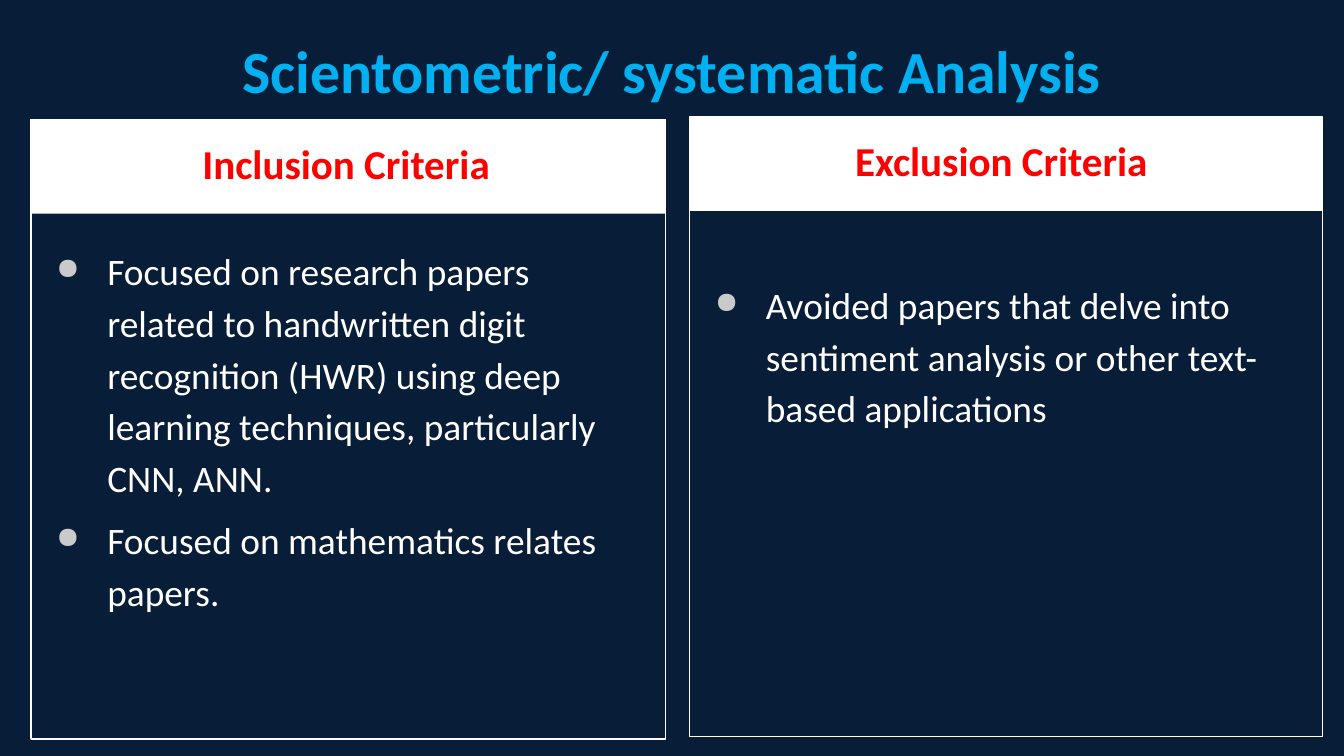
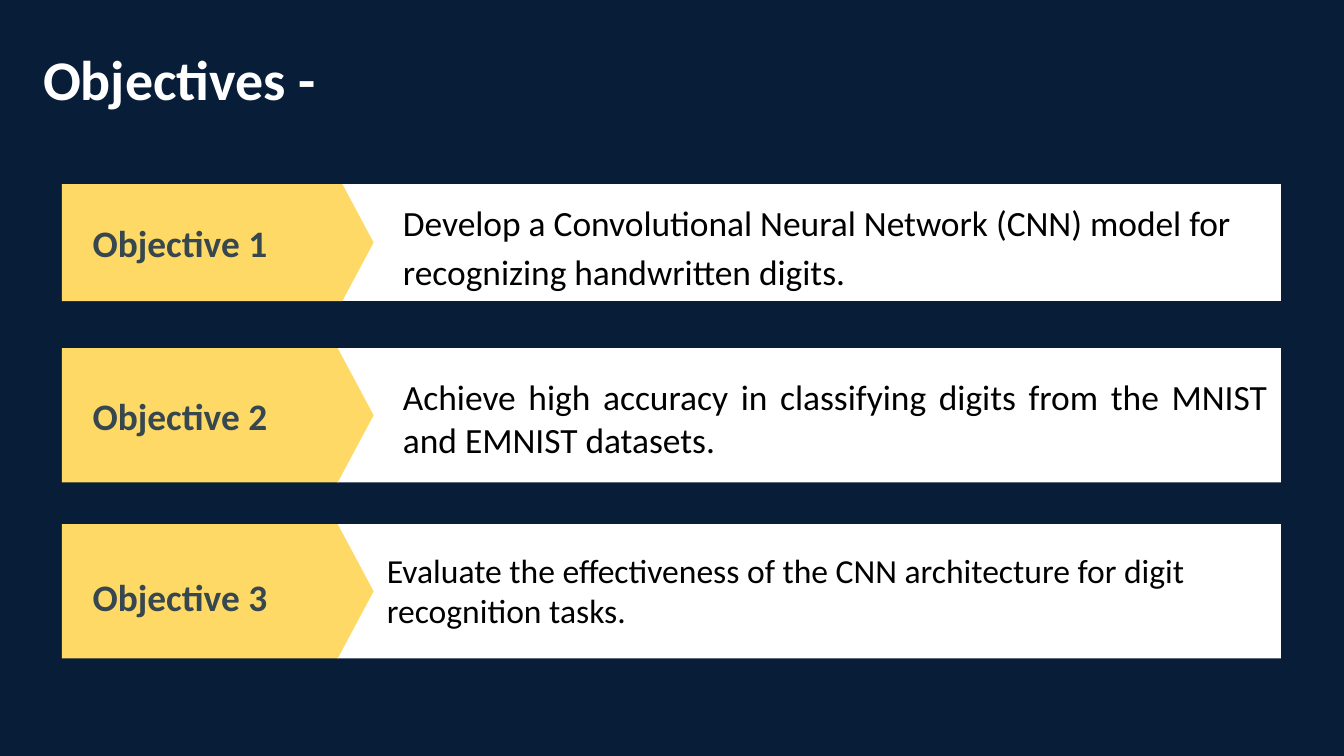
from lxml.etree import SubElement
from pptx import Presentation
from pptx.dml.color import RGBColor
from pptx.enum.shapes import MSO_SHAPE
from pptx.enum.text import MSO_ANCHOR, MSO_AUTO_SIZE, PP_ALIGN
from pptx.oxml.ns import qn
from pptx.util import Inches, Pt

FONT = "Calibri"
NAVY, WHITE, BLACK = "081D37", "FFFFFF", "000000"
SKY, RED, GOLD, SLATE, GREY = "00B0F0", "FF0000", "FFD966", "37474F", "CACACA"


def color(code):
    return RGBColor.from_string(code)


def place(box):
    return [Inches(side) for side in box]


def style(frame, size, code, bold=False, align=PP_ALIGN.LEFT, anchor=MSO_ANCHOR.TOP):
    """Format a whole text frame the way all text in the deck is set."""
    frame.word_wrap = True
    frame.auto_size = MSO_AUTO_SIZE.NONE
    frame.vertical_anchor = anchor
    frame.margin_left = frame.margin_right = Inches(0.1)
    frame.margin_top = frame.margin_bottom = Inches(0.1)
    for para in frame.paragraphs:
        para.alignment = align
        for run in para.runs:
            font = run.font
            font.name, font.size, font.bold = FONT, Pt(size), bold
            font.color.rgb = color(code)


def add_text(slide, box, text, size, code, **look):
    frame = slide.shapes.add_textbox(*place(box)).text_frame
    frame.text = text
    style(frame, size, code, **look)
    return frame


def add_block(slide, box, fill=None, line=None, kind=MSO_SHAPE.RECTANGLE):
    block = slide.shapes.add_shape(kind, *place(box))
    block.shadow.inherit = False
    if fill:
        block.fill.solid()
        block.fill.fore_color.rgb = color(fill)
    else:
        block.fill.background()
    if line:
        block.line.color.rgb = color(line)
        block.line.width = Pt(0.75)
    else:
        block.line.fill.background()
    return block


def indent(para, left, first=0):
    props = para._p.get_or_add_pPr()
    props.set("marL", str(Inches(left)))
    props.set("indent", str(Inches(first)))
    return props


def add_bullet(para):
    para.line_spacing = 1.15
    para.space_after = Pt(6)
    props = indent(para, 0.38, -0.38)
    SubElement(SubElement(props, qn("a:buClr")), qn("a:srgbClr"), val=GREY)
    SubElement(props, qn("a:buSzPct"), val="80000")
    SubElement(props, qn("a:buChar"), char="●")


def add_slide(deck, title, box, size, code, align=PP_ALIGN.LEFT):
    slide = deck.slides.add_slide(deck.slide_layouts[5])
    head = slide.shapes.title
    head.left, head.top, head.width, head.height = place(box)
    head.text_frame.text = title
    style(head.text_frame, size, code, bold=True, align=align)
    return slide


def add_panel(slide, box, title, items, drop, shift=0):
    """Framed list under a white band; drop lowers the list, shift moves the heading right."""
    left, top, width, height = box
    add_block(slide, (left, top, width, 0.7), fill=WHITE)
    add_block(slide, box, line=WHITE)
    add_text(slide, (left + shift, top + 0.04, width, 0.5), title, 22, RED,
             bold=True, align=PP_ALIGN.CENTER)
    body = (left + 0.09, top + drop, 4.54, height - drop - 0.16)
    frame = add_text(slide, body, "\n".join(items), 20, WHITE)
    for para in frame.paragraphs:
        add_bullet(para)


def add_goal(slide, box, label, text, size=19, inset=0.12, shift=0, nudge=0,
             spacing=None, align=PP_ALIGN.LEFT):
    """White bar with a gold tag; shift and nudge lower the label and the text."""
    left, top, width, height = box
    tag = 2.32
    add_block(slide, (left + 2.05, top, width - 2.05, height), fill=WHITE)
    plate = add_block(slide, (left, top, tag, height), fill=GOLD, kind=MSO_SHAPE.PENTAGON)
    plate.adjustments[0] = 0.267
    add_text(slide, (left + 0.13, top + shift, 2.65, height), label, 20, SLATE,
             bold=True, anchor=MSO_ANCHOR.MIDDLE)
    frame = add_text(slide, (left + tag, top + nudge, width - tag, height), text, size,
                     BLACK, align=align, anchor=MSO_ANCHOR.MIDDLE)
    para = frame.paragraphs[0]
    indent(para, inset)
    if spacing:
        para.line_spacing = spacing


def add_criteria(deck):
    slide = add_slide(deck, "Scientometric/ systematic Analysis",
                      (0.34, 0.15, 9.32, 0.63), 32, SKY, PP_ALIGN.CENTER)
    add_panel(slide, (0.23, 0.89, 4.72, 4.61), "Inclusion Criteria ", [
        "Focused on research papers related to handwritten digit recognition (HWR) "
        "using deep learning techniques, particularly CNN, ANN.",
        "Focused on mathematics relates papers.",
    ], 0.81, shift=0.02)
    add_panel(slide, (5.13, 0.87, 4.71, 4.61), "Exclusion Criteria ", [
        "Avoided papers that delve into sentiment analysis or other text-based applications",
    ], 1.08)


def add_goals(deck):
    slide = add_slide(deck, "Objectives -", (0.22, 0.23, 9.32, 0.63), 30, WHITE)
    left, width = 0.46, 9.07
    add_goal(slide, (left, 1.37, width, 0.87), "Objective 1",
             "Develop a Convolutional Neural Network (CNN) model for "
             "recognizing handwritten digits.", nudge=0.01, spacing=1.15)
    add_goal(slide, (left, 2.59, width, 1), "Objective 2",
             "Achieve high accuracy in classifying digits from the MNIST "
             "and EMNIST datasets.", nudge=0.02, align=PP_ALIGN.JUSTIFY)
    add_goal(slide, (left, 3.9, width, 1), "Objective 3",
             "Evaluate the effectiveness of the CNN architecture for digit "
             "recognition tasks.", size=18, inset=0, shift=0.04, nudge=-0.01)


def main():
    deck = Presentation()
    deck.slide_width = Inches(10)
    deck.slide_height = Inches(10 * 9 / 16)
    back = deck.slide_master.background.fill
    back.solid()
    back.fore_color.rgb = color(NAVY)
    add_criteria(deck)
    add_goals(deck)
    deck.save("out.pptx")


if __name__ == "__main__":
    main()
